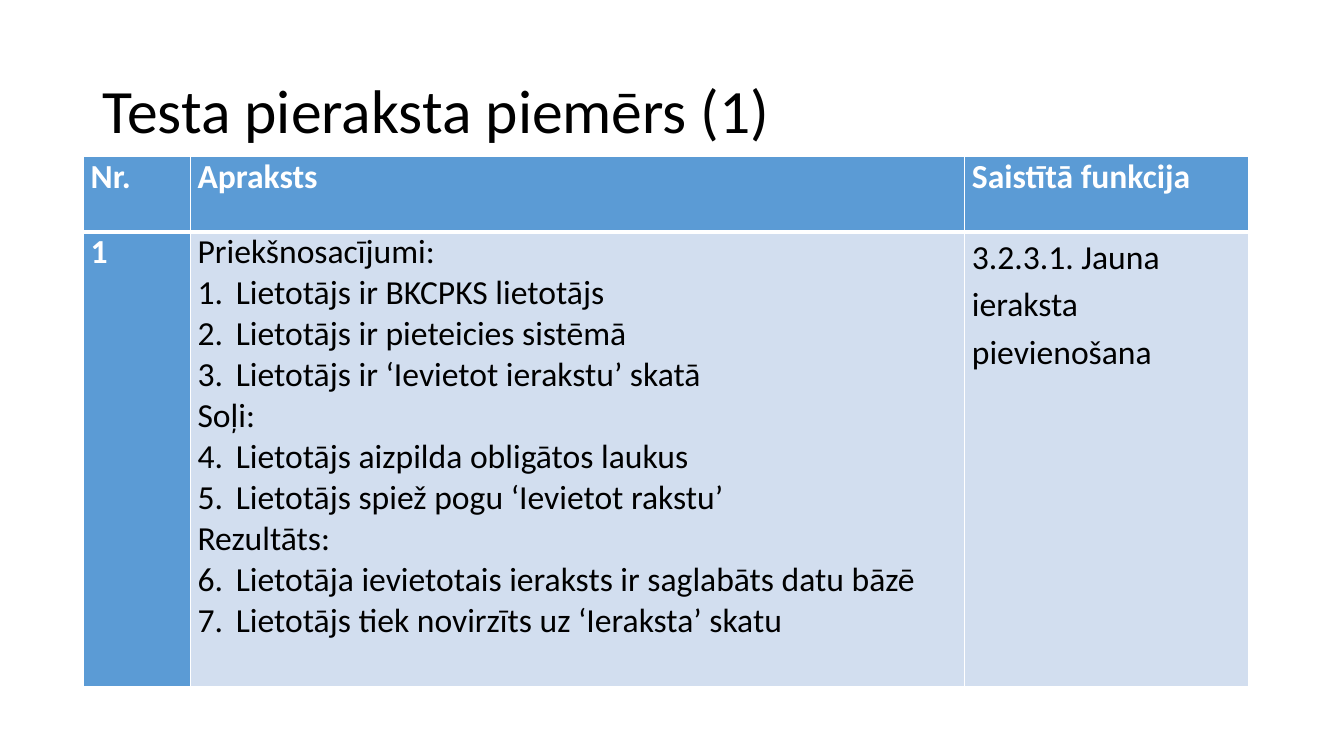
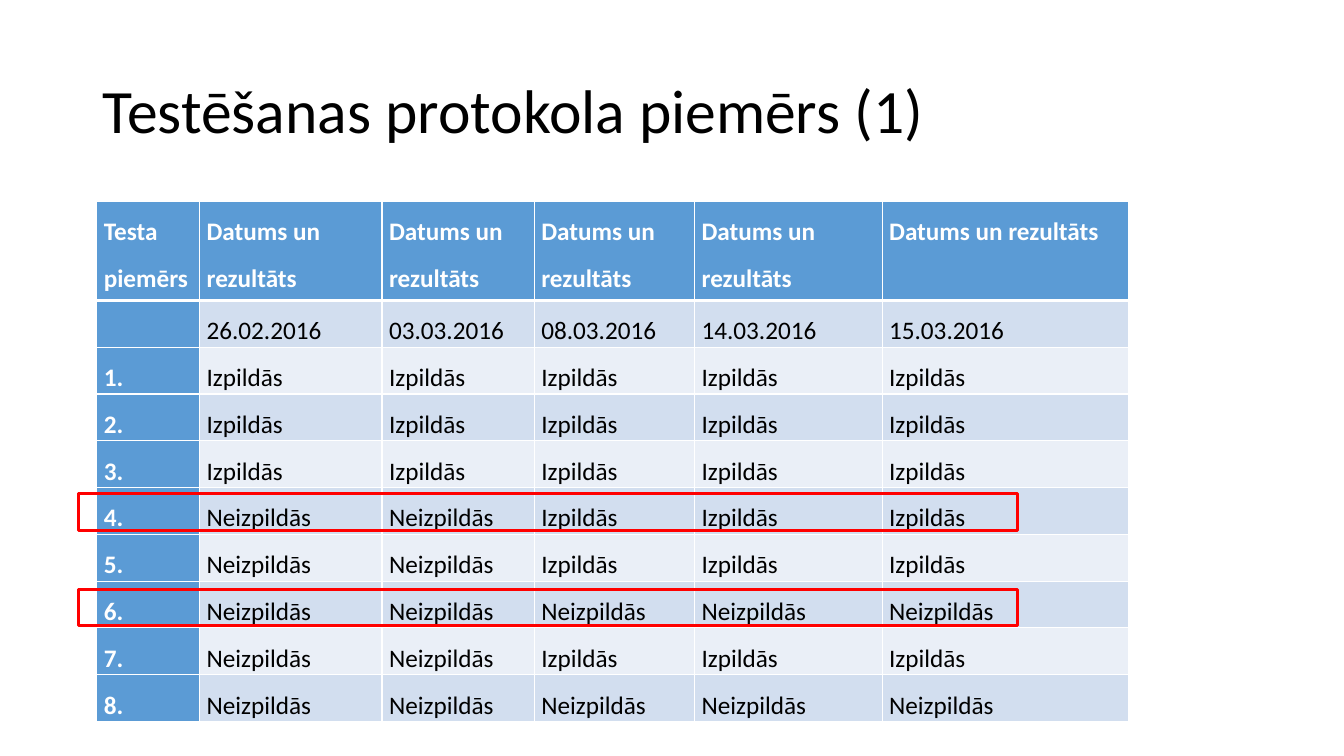
from dataclasses import dataclass
from itertools import count

from lxml.etree import SubElement
from pptx import Presentation
from pptx.dml.color import RGBColor
from pptx.enum.shapes import MSO_SHAPE
from pptx.enum.text import MSO_ANCHOR
from pptx.oxml.ns import qn
from pptx.util import Inches, Pt

FONT = "Calibri"
COLORS = {
    "text": "000000",
    "rule": "FFFFFF",
    "head_text": "FFFFFF",
    "head": "5B9BD5",
    "band_dark": "D2DEEF",
    "band_light": "EAEFF7",
    "highlight": "FF0000",
}
CELL_MARGINS = {
    "margin_left": Inches(0.07),
    "margin_right": Inches(0.07),
    "margin_top": 0,
    "margin_bottom": 0,
}

TEST_HEADINGS = ["Nr.", "Apraksts", "Saistītā funkcija"]
TEST_SECTIONS = {
    "Priekšnosacījumi:": [
        "Lietotājs ir BKCPKS lietotājs",
        "Lietotājs ir pieteicies sistēmā",
        "Lietotājs ir ‘Ievietot ierakstu’ skatā",
    ],
    "Soļi:": [
        "Lietotājs aizpilda obligātos laukus",
        "Lietotājs spiež pogu ‘Ievietot rakstu’",
    ],
    "Rezultāts:": [
        "Lietotāja ievietotais ieraksts ir saglabāts datu bāzē",
        "Lietotājs tiek novirzīts uz ‘Ieraksta’ skatu",
    ],
}
RUN_DATES = ["26.02.2016", "03.03.2016", "08.03.2016", "14.03.2016", "15.03.2016"]
FAILED_RUNS = [0, 0, 0, 2, 2, 5, 2, 5]


@dataclass
class Line:
    """One paragraph of a cell, numbered when number is set."""
    text: str
    number: int = 0
    spacing: float = 1.0
    after: float = 0


def apply_format(target, values):
    """Set each named attribute of target."""
    for name, value in values.items():
        setattr(target, name, value)


def rgb(color):
    """Look up a named colour."""
    return RGBColor.from_string(COLORS[color])


def write_paragraph(paragraph, text, size, color="text", bold=False, **spacing):
    """Write text as one formatted run."""
    apply_format(paragraph, spacing)
    if text:
        run = paragraph.add_run()
        run.text = text
        apply_format(run.font, {"name": FONT, "size": Pt(size), "bold": bold})
        run.font.color.rgb = rgb(color)


def number_paragraph(paragraph, number):
    """Give a paragraph a hanging automatic number."""
    properties = paragraph._p.get_or_add_pPr()
    indent = Inches(0.38)
    properties.set("marL", str(indent))
    properties.set("indent", str(-indent))
    SubElement(properties, qn("a:buFont"), typeface="+mj-lt")
    SubElement(properties, qn("a:buAutoNum"), type="arabicPeriod", startAt=str(number))


def add_title(slide, text):
    """Add the title shared by the slides."""
    frame = slide.shapes.add_textbox(
        Inches(0.92), Inches(0.4), Inches(11.5), Inches(1.45)).text_frame
    apply_format(frame, {"word_wrap": True, "vertical_anchor": MSO_ANCHOR.MIDDLE})
    write_paragraph(frame.paragraphs[0], text, 44, line_spacing=0.9)


def draw_borders(cell, row):
    """Rule a cell in white, with a heavy line under the heading row."""
    widths = {"lnL": 1, "lnR": 1, "lnT": 3 if row == 1 else 1, "lnB": 3 if row == 0 else 1}
    for edge, width in widths.items():
        border = SubElement(cell._tc.get_or_add_tcPr(), qn(f"a:{edge}"), w=str(Pt(width)))
        fill = SubElement(border, qn("a:solidFill"))
        SubElement(fill, qn("a:srgbClr"), val=COLORS["rule"])


def fill_cell(cell, lines, size, row, column):
    """Write a cell and style it by its place in the table."""
    is_head = row == 0 or column == 0
    band = "band_dark" if row % 2 else "band_light"
    apply_format(cell, CELL_MARGINS)
    draw_borders(cell, row)
    cell.fill.solid()
    cell.fill.fore_color.rgb = rgb("head" if is_head else band)
    frame = cell.text_frame
    for index, line in enumerate(lines):
        paragraph = frame.add_paragraph() if index else frame.paragraphs[0]
        write_paragraph(paragraph, line.text, size, "head_text" if is_head else "text",
                        is_head, line_spacing=line.spacing, space_after=Pt(line.after))
        if line.number:
            number_paragraph(paragraph, line.number)


def add_table(slide, left, top, widths, heights, rows, size):
    """Add a table whose cells are lists of lines."""
    table = slide.shapes.add_table(
        len(rows), len(widths), Inches(left), Inches(top),
        Inches(sum(widths)), Inches(sum(heights))).table
    for column, width in zip(table.columns, widths):
        column.width = Inches(width)
    for row, height in zip(table.rows, heights):
        row.height = Inches(height)
    for row, cells in enumerate(rows):
        for column, lines in enumerate(cells):
            fill_cell(table.cell(row, column), lines, size, row, column)


def add_highlight(slide, top):
    """Frame one protocol row in red."""
    frame = slide.shapes.add_shape(
        MSO_SHAPE.RECTANGLE, Inches(0.78), Inches(top), Inches(9.31), Inches(0.36))
    frame.shadow.inherit = False
    frame.fill.background()
    frame.line.color.rgb = rgb("highlight")
    frame.line.width = Pt(2)


def description_lines():
    """List the test sections with steps numbered throughout."""
    numbers = count(1)
    lines = []
    for heading, steps in TEST_SECTIONS.items():
        lines.append(Line(heading))
        lines.extend(Line(step, next(numbers)) for step in steps)
    return lines


def protocol_rows():
    """Build the protocol rows from the count of failed runs per test."""
    runs = len(RUN_DATES)
    rows = [["Testa piemērs"] + ["Datums un rezultāts"] * runs, [""] + RUN_DATES]
    for case, failed in enumerate(FAILED_RUNS, 1):
        rows.append([f"{case}."] + ["Neizpildās"] * failed + ["Izpildās"] * (runs - failed))
    return [[[Line(text, spacing=1.5, after=8)] for text in row] for row in rows]


def build_test_slide(slide):
    """Show an example of a test record."""
    add_title(slide, "Testa pieraksta piemērs (1)")
    function = Line("3.2.3.1. Jauna ieraksta pievienošana", spacing=1.15)
    rows = [[[Line(heading)] for heading in TEST_HEADINGS],
            [[Line("1")], description_lines(), [function]]]
    add_table(slide, 0.83, 1.55, [1.06, 7.68, 2.81], [0.75, 4.51], rows, 24)


def build_protocol_slide(slide):
    """Show an example of a testing protocol."""
    add_title(slide, "Testēšanas protokola piemērs (1)")
    rows = protocol_rows()
    heights = [0.98] + [4.18 / (len(rows) - 1)] * (len(rows) - 1)
    add_table(slide, 0.96, 2, [1.02, 1.81, 1.51, 1.59, 1.86, 2.44], heights, rows, 18)
    for top in (4.9, 5.85):
        add_highlight(slide, top)


def main():
    """Build and save the presentation."""
    deck = Presentation()
    apply_format(deck, {"slide_width": Inches(13.33), "slide_height": Inches(7.5)})
    for build in (build_test_slide, build_protocol_slide):
        build(deck.slides.add_slide(deck.slide_layouts[6]))
    deck.save("out.pptx")


main()
